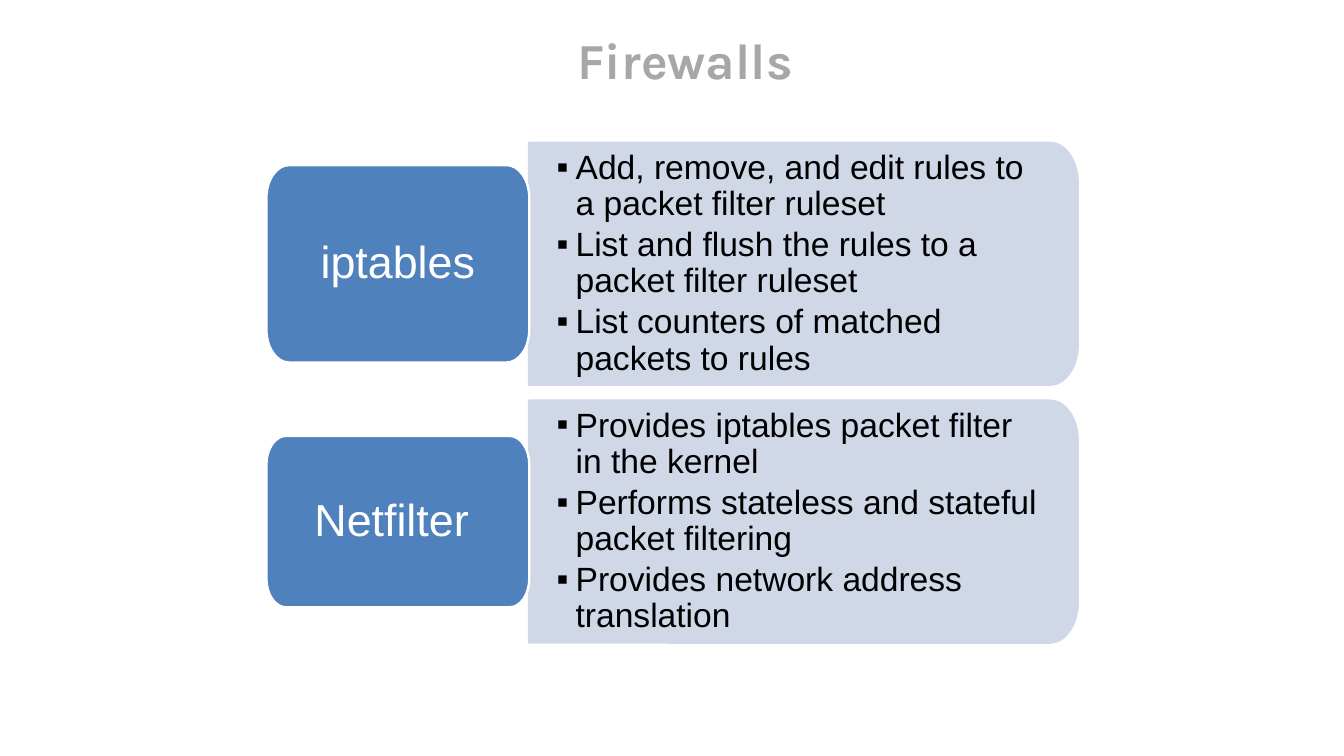
"""Build the Firewalls slide: two named tools, each with a panel of its duties."""
import math
from dataclasses import dataclass

from lxml import etree
from pptx import Presentation
from pptx import util as u
from pptx.dml.color import RGBColor
from pptx.enum import text
from pptx.oxml.ns import qn

COLORS = {"title": "A7A7A7", "panel": "D0D8E8", "key": "4F81BD", "white": "FFFFFF", "black": "000000"}
KEY_LEFT, KEY_WIDTH = 228.4, 225.3
PANEL_LEFT, PANEL_WIDTH, PANEL_HEIGHT = 453.6, 470.2, 207.4
PANEL_TOP, PANEL_PITCH = 122.4, 221
BULLET_INDENT = u.Pt(16.2)
ARC = math.pi / 4
ARC_HANDLE = 4 / 3 * math.tan(ARC / 4)


@dataclass
class Tool:
    name: str
    key_height: float
    key_insets: tuple[float, float, float, float]
    duties: list[str]


@dataclass
class Block:
    left: float
    top: float
    width: float
    height: float
    left_rounded: bool
    fill: str
    line: str
    insets: tuple[float, float, float, float]


TOOLS = [
    Tool("iptables", 169.2, (17.3, 11.5, 17.3, 11.5), [
        "Add, remove, and edit rules to a packet filter ruleset",
        "List and flush the rules to a packet filter ruleset",
        "List counters of matched packets to rules",
    ]),
    Tool("Netfilter ", 146.9, (16.6, 10.8, 16.6, 10.8), [
        "Provides iptables packet filter in the kernel",
        "Performs stateless and stateful packet filtering",
        "Provides network address translation",
    ]),
]


def color(name: str) -> RGBColor:
    return RGBColor.from_string(COLORS[name])


def unit_arc(start: float) -> list[tuple[float, float]]:
    """Give the two handles and the end of an eighth of a unit circle."""
    end = start + ARC
    return [
        (math.cos(start) - ARC_HANDLE * math.sin(start), math.sin(start) + ARC_HANDLE * math.cos(start)),
        (math.cos(end) + ARC_HANDLE * math.sin(end), math.sin(end) - ARC_HANDLE * math.cos(end)),
        (math.cos(end), math.sin(end)),
    ]


def outline(block: Block) -> tuple[list[tuple[int, int]], list[int]]:
    """Trace the block clockwise from its top right and note where curves begin."""
    radius_y = block.height / 6
    radius_x = radius_y * 0.69
    points, curve_starts = [], []
    for corner in range(4):
        on_left, at_bottom = corner >= 2, corner in (1, 2)
        rounded = block.left_rounded or not on_left
        rx, ry = (radius_x, radius_y) if rounded else (0, 0)
        center_x = block.left + (rx if on_left else block.width - rx)
        center_y = block.top + (block.height - ry if at_bottom else ry)
        angle = math.pi / 2 * (corner - 1)
        places = [(math.cos(angle), math.sin(angle))]
        if rounded:
            curve_starts += [len(points) + 1, len(points) + 4]
            places += unit_arc(angle) + unit_arc(angle + ARC)
        points += [(u.Pt(center_x + rx * x), u.Pt(center_y + ry * y)) for x, y in places]
    return points, curve_starts


def bend_lines(shape, curve_starts: list[int]) -> None:
    """Merge each run of three line segments into one Bezier curve."""
    lines = list(shape._element.spPr.iter(qn("a:lnTo")))
    for start in curve_starts:
        trio = lines[start - 1:start + 2]
        curve = etree.Element(qn("a:cubicBezTo"))
        trio[0].addprevious(curve)
        for line in trio:
            curve.append(line[0])
            line.getparent().remove(line)


def set_frame(frame, insets: tuple[float, float, float, float]) -> None:
    frame.word_wrap = True
    frame.vertical_anchor = text.MSO_ANCHOR.MIDDLE
    frame.margin_left, frame.margin_top, frame.margin_right, frame.margin_bottom = map(u.Pt, insets)


def add_span(para, words: str, size: float, font: str, shade: str, bold: bool = False) -> None:
    span = para.add_run()
    span.text = words
    span.font.size = u.Pt(size)
    span.font.name = font
    span.font.bold = bold
    span.font.color.rgb = color(shade)


def add_block(page, block: Block):
    points, curve_starts = outline(block)
    builder = page.shapes.build_freeform(*points[0])
    builder.add_line_segments(points[1:], close=True)
    shape = builder.convert_to_shape()
    bend_lines(shape, curve_starts)
    shape.shadow.inherit = False
    shape.fill.solid()
    shape.fill.fore_color.rgb = color(block.fill)
    shape.line.color.rgb = color(block.line)
    shape.line.width = u.Pt(2)
    set_frame(shape.text_frame, block.insets)
    return shape.text_frame


def add_duties(frame, duties: list[str]) -> None:
    for index, duty in enumerate(duties):
        para = frame.add_paragraph() if index else frame.paragraphs[0]
        props = para._p.get_or_add_pPr()
        props.set("marL", str(BULLET_INDENT))
        props.set("indent", str(-BULLET_INDENT))
        etree.SubElement(props, qn("a:buFont"), typeface="Arial")
        etree.SubElement(props, qn("a:buChar"), char="▪")
        para.level = 1
        para.alignment = text.PP_ALIGN.LEFT
        para.line_spacing = 0.9
        para.space_after = u.Pt(4)
        add_span(para, duty, 28.8, "Arial", "black")


def add_tool(page, tool: Tool, top: float) -> None:
    panel = Block(PANEL_LEFT, top, PANEL_WIDTH, PANEL_HEIGHT, False,
                  "panel", "panel", (23.6, 18.7, 30.2, 18.7))
    add_duties(add_block(page, panel), tool.duties)
    key_top = top + (PANEL_HEIGHT - tool.key_height) / 2
    key = Block(KEY_LEFT, key_top, KEY_WIDTH, tool.key_height, True,
                "key", "white", tool.key_insets)
    para = add_block(page, key).paragraphs[0]
    para.alignment = text.PP_ALIGN.CENTER
    para.line_spacing = 0.9
    add_span(para, tool.name, 38.4, "Arial", "white")


def add_title(page, words: str) -> None:
    box = page.shapes.add_textbox(u.Pt(195.1), u.Pt(28.8), u.Pt(784.1), u.Pt(44.6))
    set_frame(box.text_frame, (5, 5, 5, 5))
    para = box.text_frame.paragraphs[0]
    para.alignment = text.PP_ALIGN.CENTER
    add_span(para, words, 43.2, "Karla", "title", bold=True)


def main() -> None:
    deck = Presentation()
    deck.slide_width, deck.slide_height = u.Pt(1152), u.Pt(648)
    page = deck.slides.add_slide(deck.slide_layouts[6])
    add_title(page, "Firewalls")
    for index, tool in enumerate(TOOLS):
        add_tool(page, tool, PANEL_TOP + index * PANEL_PITCH)
    deck.save("out.pptx")


if __name__ == "__main__":
    main()
